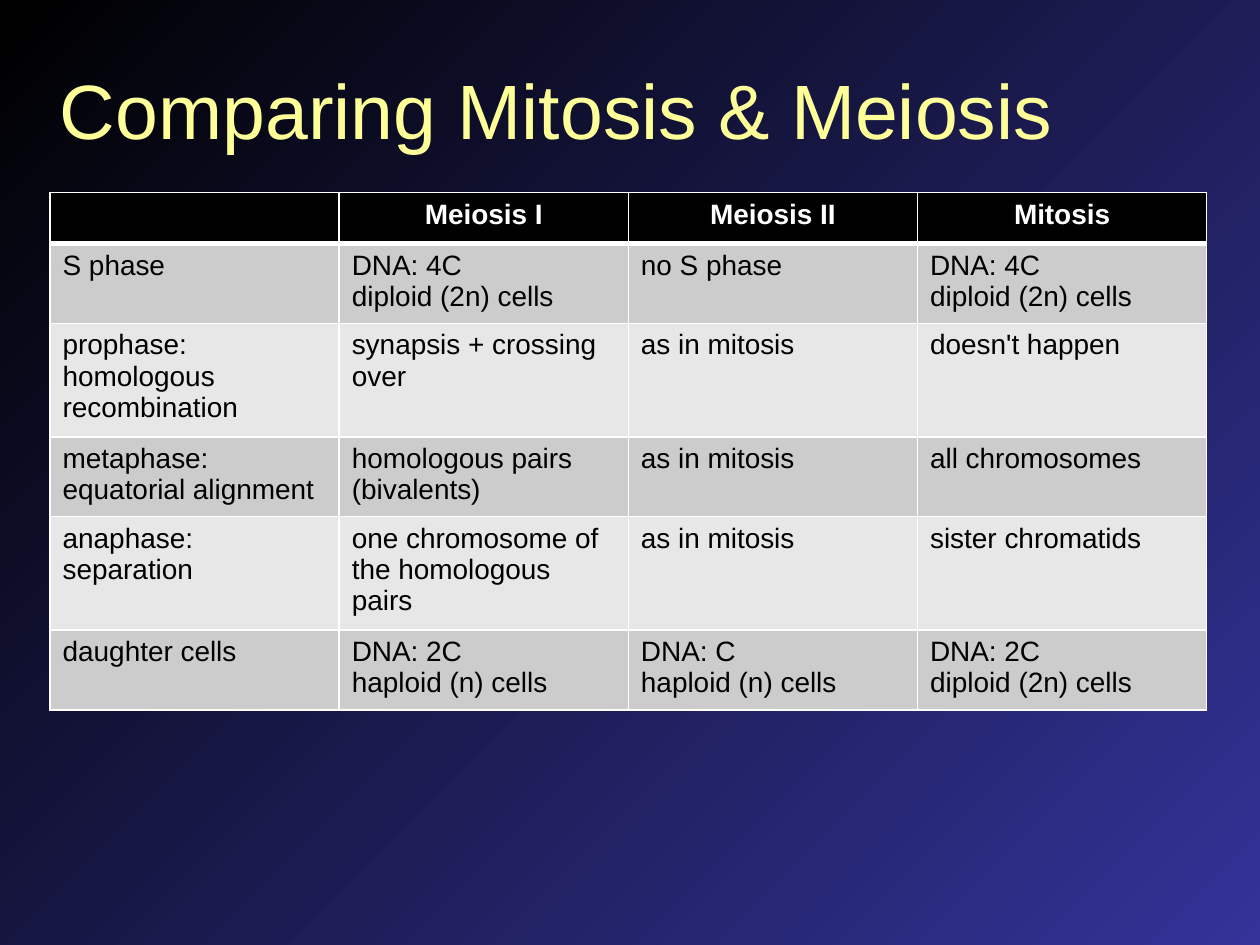
from dataclasses import dataclass

from lxml.etree import SubElement
from pptx import Presentation
from pptx.dml.color import RGBColor
from pptx.enum.text import MSO_ANCHOR, MSO_AUTO_SIZE, PP_ALIGN
from pptx.oxml.ns import qn
from pptx.util import Pt


@dataclass(frozen=True)
class Theme:
    font: str = "Arial"
    title_size: int = 44
    table_size: int = 16
    title: str = "FFFF99"
    backdrop: tuple = ("000000", "333399")
    header: str = "000000"
    header_text: str = "FFFFFF"
    body_text: str = "000000"
    bands: tuple = ("CCCCCC", "E7E7E7")
    border: str = "FFFFFF"
    border_width: int = 1
    header_rule: int = 3


THEME = Theme()

PHASES = [
    ["", "Meiosis I", "Meiosis II", "Mitosis"],
    ["S phase", "DNA: 4C\vdiploid (2n) cells", "no S phase", "DNA: 4C\vdiploid (2n) cells"],
    ["prophase: homologous recombination", "synapsis + crossing over", "as in mitosis", "doesn't happen"],
    ["metaphase:\vequatorial alignment", "homologous pairs\v(bivalents)", "as in mitosis", "all chromosomes"],
    ["anaphase:\vseparation", "one chromosome of the homologous pairs", "as in mitosis", "sister chromatids"],
    ["daughter cells", "DNA: 2C\vhaploid (n) cells", "DNA: C\vhaploid (n) cells", "DNA: 2C\ndiploid (2n) cells"],
]


def style_font(font, size, color, bold=False):
    font.name = THEME.font
    font.size = Pt(size)
    font.bold = bold
    font.color.rgb = RGBColor.from_string(color)


def paint_background(slide):
    fill = slide.background.fill
    fill.gradient()
    fill.gradient_angle = 315
    for stop, position, color in zip(fill.gradient_stops, (0, 1), THEME.backdrop):
        stop.position = position
        stop.color.rgb = RGBColor.from_string(color)


def place_title(slide, left, top, width, height):
    title = slide.shapes.title
    title.left, title.top = Pt(left), Pt(top)
    title.width, title.height = Pt(width), Pt(height)
    frame = title.text_frame
    frame.text = "Comparing Mitosis & Meiosis"
    frame.word_wrap = True
    frame.auto_size = MSO_AUTO_SIZE.SHAPE_TO_FIT_TEXT
    frame.vertical_anchor = MSO_ANCHOR.MIDDLE
    heading = frame.paragraphs[0]
    heading.alignment = PP_ALIGN.LEFT
    style_font(heading.runs[0].font, THEME.title_size, THEME.title)


def set_borders(cell, top_width, bottom_width):
    properties = cell._tc.get_or_add_tcPr()
    widths = {
        "a:lnL": THEME.border_width,
        "a:lnR": THEME.border_width,
        "a:lnT": top_width,
        "a:lnB": bottom_width,
    }
    for side, width in widths.items():
        line = SubElement(properties, qn(side), w=str(Pt(width)))
        fill = SubElement(line, qn("a:solidFill"))
        SubElement(fill, qn("a:srgbClr"), val=THEME.border)


def format_cell(cell, row, content):
    is_header = row == 0
    set_borders(
        cell,
        THEME.header_rule if row == 1 else THEME.border_width,
        THEME.header_rule if is_header else THEME.border_width,
    )
    band = THEME.header if is_header else THEME.bands[(row - 1) % 2]
    cell.fill.solid()
    cell.fill.fore_color.rgb = RGBColor.from_string(band)
    cell.text_frame.text = content
    color = THEME.header_text if is_header else THEME.body_text
    for paragraph in cell.text_frame.paragraphs:
        paragraph.alignment = PP_ALIGN.CENTER if is_header else PP_ALIGN.LEFT
        style_font(paragraph.font, THEME.table_size, color, is_header)
        for run in paragraph.runs:
            style_font(run.font, THEME.table_size, color, is_header)


def place_comparison(slide, left, top, width, row_height):
    row_count, column_count = len(PHASES), len(PHASES[0])
    comparison = slide.shapes.add_table(
        row_count, column_count, Pt(left), Pt(top), Pt(width), Pt(row_height * row_count)
    ).table
    for column in comparison.columns:
        column.width = Pt(width / column_count)
    for row, phase in enumerate(PHASES):
        comparison.rows[row].height = Pt(row_height)
        for column, content in enumerate(phase):
            format_cell(comparison.cell(row, column), row, content)


def main():
    deck = Presentation()
    deck.slide_width, deck.slide_height = Pt(720), Pt(540)
    slide = deck.slides.add_slide(deck.slide_layouts[5])
    paint_background(slide)
    place_title(slide, 27, 32, 662, 60)
    place_comparison(slide, 28.6, 110, 661, 29.2)
    deck.save("out.pptx")


if __name__ == "__main__":
    main()
